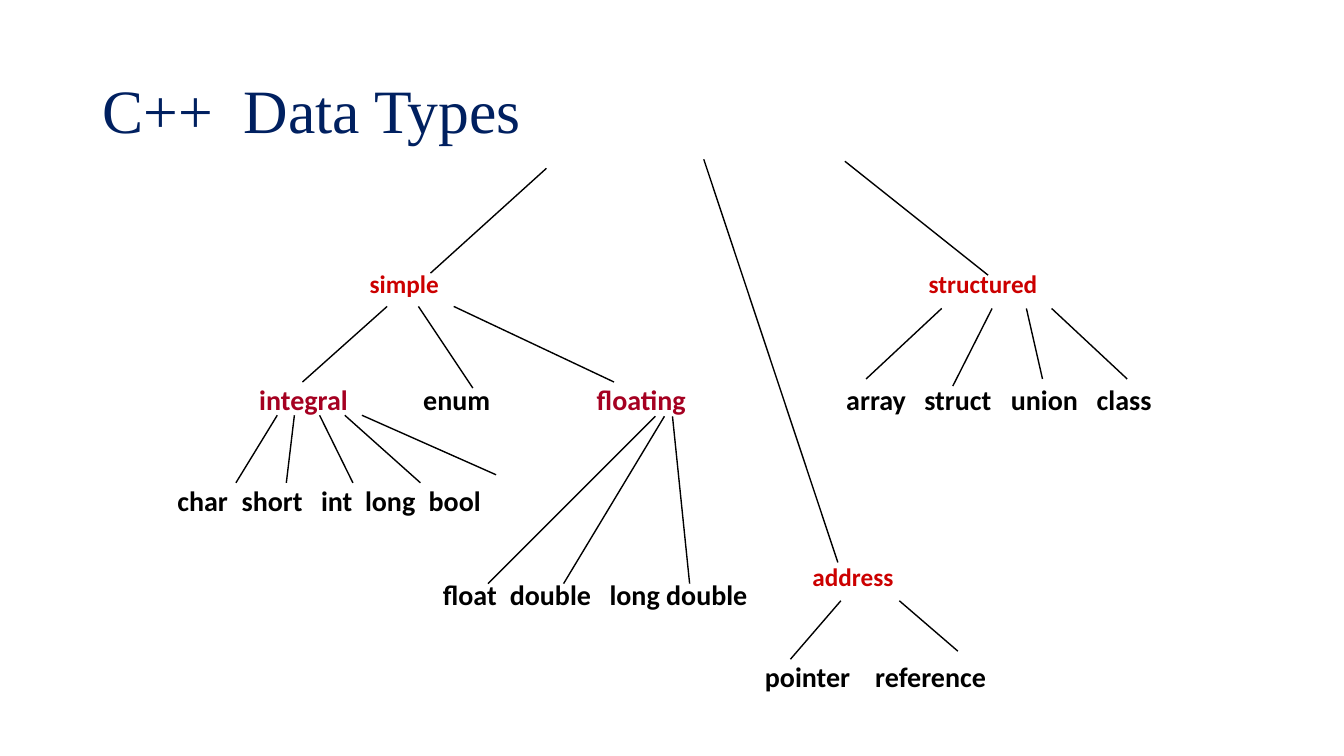
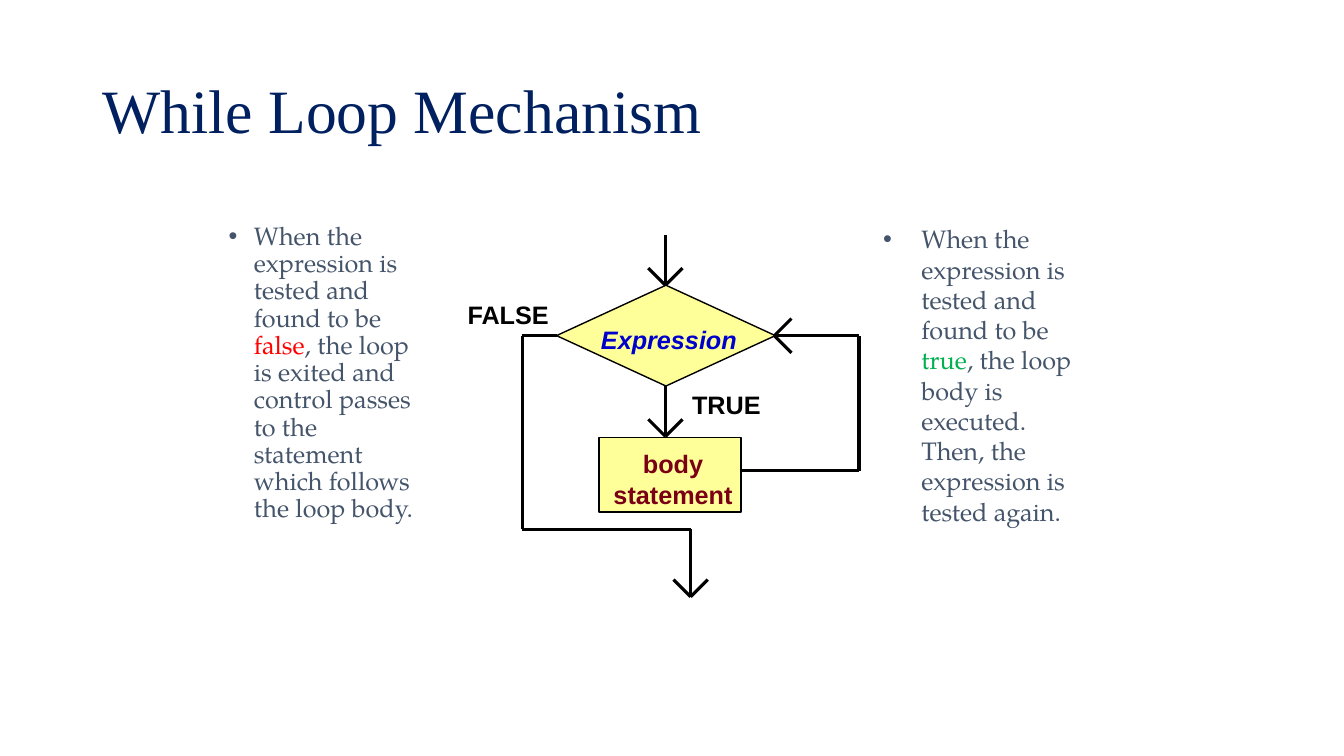
import lxml.etree
import pptx
import pptx.dml.color
import pptx.enum.shapes
import pptx.enum.text
import pptx.oxml.ns
import pptx.util

RGBColor = pptx.dml.color.RGBColor
MSO_SHAPE = pptx.enum.shapes.MSO_SHAPE
PP_ALIGN = pptx.enum.text.PP_ALIGN
MSO_ANCHOR = pptx.enum.text.MSO_ANCHOR
qn = pptx.oxml.ns.qn

PX = 9144  # 100 px to the inch
BLACK = RGBColor(0x00, 0x00, 0x00)
NAVY = RGBColor(0x00, 0x20, 0x60)
SLATE = RGBColor(0x44, 0x54, 0x6A)
RED = RGBColor(0xCC, 0x00, 0x00)
CRIMSON = RGBColor(0xA5, 0x00, 0x21)
MAROON = RGBColor(0x79, 0x00, 0x15)
BLUE = RGBColor(0x00, 0x00, 0xCC)
BRIGHT_RED = RGBColor(0xFF, 0x00, 0x00)
GREEN = RGBColor(0x00, 0xB0, 0x50)
YELLOW = RGBColor(0xFF, 0xFF, 0x99)


def write(sp, text, font="Calibri", size=18, color=BLACK, bold=False, italic=False,
          align=PP_ALIGN.CENTER, anchor=MSO_ANCHOR.MIDDLE, margins=(0, 0, 0, 0),
          wrap=False, spacing=1.0, indent=0):
    """Fill sp with one paragraph; text is a string or a list of (text, color)."""
    tf = sp.text_frame
    tf.word_wrap = wrap
    tf.vertical_anchor = anchor
    tf.margin_left, tf.margin_top, tf.margin_right, tf.margin_bottom = [m * PX for m in margins]
    p = tf.paragraphs[0]
    p.alignment = align
    p.line_spacing = spacing
    if indent:
        pPr = p._p.get_or_add_pPr()
        pPr.set("marL", str(indent * PX))
        pPr.set("indent", str(-indent * PX))
        lxml.etree.SubElement(pPr, qn("a:buFont")).set("typeface", "Arial")
        lxml.etree.SubElement(pPr, qn("a:buChar")).set("char", "•")
    for run_text, run_color in [(text, color)] if isinstance(text, str) else text:
        r = p.add_run()
        r.text = run_text
        r.font.name = font
        r.font.size = pptx.util.Pt(size)
        r.font.bold = bold
        r.font.italic = italic
        r.font.color.rgb = run_color


def draw_line(s, x1, y1, x2, y2, width=1):
    line = s.shapes.add_connector(pptx.enum.shapes.MSO_CONNECTOR.STRAIGHT,
                                  x1 * PX, y1 * PX, x2 * PX, y2 * PX)
    line.line.color.rgb = BLACK
    line.line.width = pptx.util.Pt(width)
    lxml.etree.SubElement(line._element.spPr, qn("a:effectLst"))


prs = pptx.Presentation()
prs.slide_width, prs.slide_height = 1333 * PX, 750 * PX
slides = []
for title in ("C++  Data Types", "While Loop Mechanism"):
    s = prs.slides.add_slide(prs.slide_layouts[6])
    sp = s.shapes.add_textbox(92 * PX, 40 * PX, 1150 * PX, 145 * PX)
    write(sp, title, font="Times New Roman", size=44, color=NAVY, align=PP_ALIGN.LEFT,
          margins=(10, 5, 10, 5), wrap=True, spacing=0.9)
    slides.append(s)
types_slide, loop_slide = slides

# Data types: each branch is a list of lines from parent to child
branches = {
    "root": [(542, 167, 427, 271), (698, 158, 831, 558), (838, 160, 980, 273)],
    "simple": [(384, 304, 300, 379), (415, 304, 469, 385), (450, 304, 609, 379)],
    "structured": [(934, 306, 859, 376), (984, 306, 945, 383),
                   (1018, 306, 1034, 376), (1043, 306, 1118, 376)],
    "integral": [(275, 412, 234, 479), (292, 412, 284, 479), (317, 412, 350, 479),
                 (342, 412, 417, 479), (359, 412, 492, 471)],
    "floating": [(650, 413, 484, 579), (659, 413, 559, 579), (667, 413, 684, 579)],
    "address": [(834, 596, 784, 654), (892, 596, 950, 646)],
}
for lines in branches.values():
    for ends in lines:
        draw_line(types_slide, *ends)

# Rows of type names: top, size, colour, {name: centre}
type_rows = [
    (266, 18, RED, {"simple": 401, "structured": 975}),
    (557, 18, RED, {"address": 846}),
    (379, 20, CRIMSON, {"integral": 301, "floating": 636}),
    (379, 20, BLACK, {"enum": 453, "array": 869, "struct": 950, "union": 1036, "class": 1115}),
    (479, 20, BLACK, {"char": 201, "short": 270, "int": 334, "long": 387, "bool": 451}),
    (573, 20, BLACK, {"float": 466, "double": 546, "long double": 673}),
    (654, 20, BLACK, {"pointer": 801, "reference": 923}),
]
for top, size, color, names in type_rows:
    height = 30 if size == 18 else 34
    for name, center in names.items():
        width = 14 * len(name) + 16
        sp = types_slide.shapes.add_textbox((center - width // 2) * PX, top * PX,
                                            width * PX, height * PX)
        write(sp, name, size=size, color=color, bold=True)

# While loop: explanations on both sides
explanations = [
    (217, 25, 0.9, [("When the expression is tested and found to be ", SLATE),
                    ("false", BRIGHT_RED),
                    (", the loop is exited and control passes to the statement "
                     "which follows the loop body.", SLATE)]),
    (866, 38, 1.0, [("When the expression is tested and found to be ", SLATE),
                    ("true", GREEN),
                    (", the loop body is executed. Then, the expression is "
                     "tested again.", SLATE)]),
]
for left, indent, spacing, runs in explanations:
    sp = loop_slide.shapes.add_textbox(left * PX, 217 * PX, 217 * PX, 383 * PX)
    write(sp, runs, font="TeX Gyre Pagella", align=PP_ALIGN.LEFT, anchor=MSO_ANCHOR.TOP,
          margins=(10, 5, 10, 5), wrap=True, spacing=spacing, indent=indent)

# Flow paths: corner points, then the direction in which the arrow points
flows = [
    ([(660, 233), (660, 283)], (0, 1)),
    ([(660, 383), (660, 433)], (0, 1)),
    ([(735, 467), (852, 467), (852, 333), (768, 333)], (-1, 0)),
    ([(552, 333), (518, 333), (518, 525), (685, 525), (685, 592)], (0, 1)),
]
WING = 17
for points, (dx, dy) in flows:
    for start, end in zip(points, points[1:]):
        draw_line(loop_slide, *start, *end, width=2.25)
    x, y = points[-1]
    for side in (-WING, WING):
        draw_line(loop_slide, x, y, x - WING * dx + side * dy, y - WING * dy + side * dx,
                  width=2.25)

steps = [
    (MSO_SHAPE.FLOWCHART_DECISION, (552, 283, 217, 100), "Expression", BLUE, True, False),
    (MSO_SHAPE.RECTANGLE, (594, 434, 141, 74), "body statement", MAROON, False, True),
]
for kind, box, text, color, italic, wrap in steps:
    sp = loop_slide.shapes.add_shape(kind, *[v * PX for v in box])
    sp.shadow.inherit = False
    sp.fill.solid()
    sp.fill.fore_color.rgb = YELLOW
    sp.line.color.rgb = BLACK
    sp.line.width = pptx.util.Pt(1)
    write(sp, text, font="Arial", color=color, bold=True, italic=italic,
          margins=(6, 8, 0, 0), wrap=wrap)

for text, left, top, width in [("FALSE", 453, 292, 102), ("TRUE", 676, 381, 89)]:
    sp = loop_slide.shapes.add_textbox(left * PX, top * PX, width * PX, 40 * PX)
    write(sp, text, font="Arial", bold=True)

prs.save("out.pptx")
